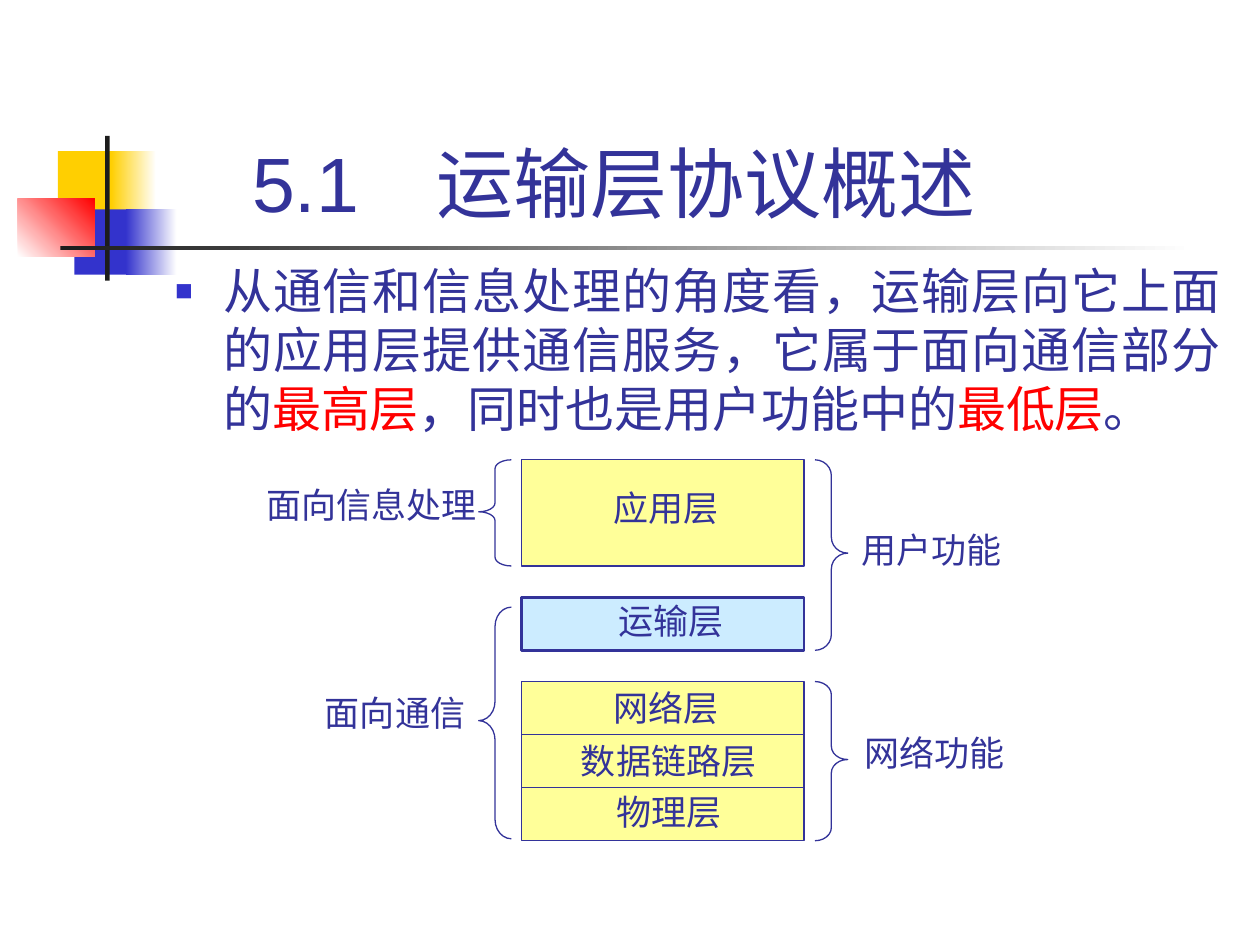
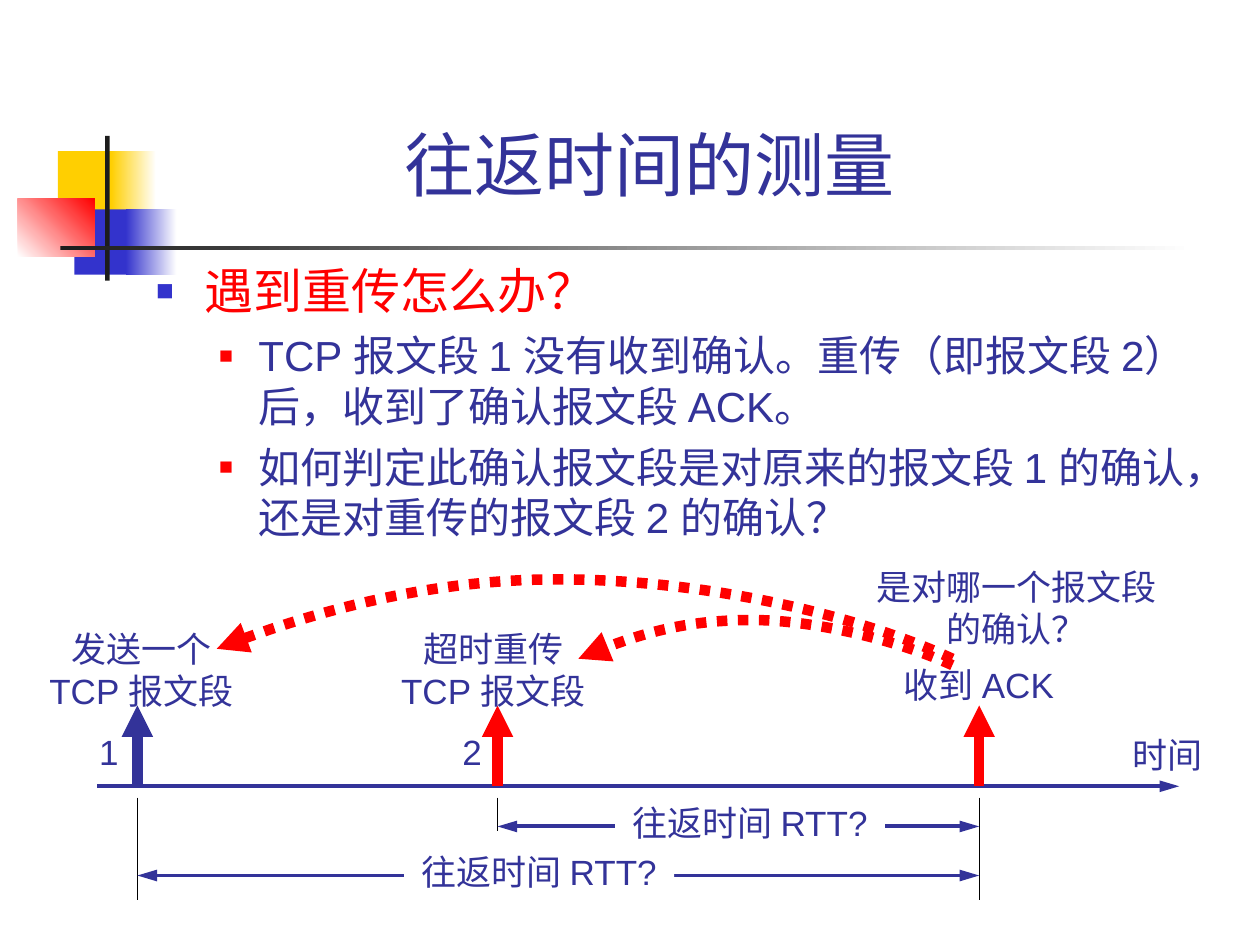
from lxml.etree import SubElement
from pptx import Presentation
from pptx.dml.color import RGBColor
from pptx.enum.dml import MSO_LINE
from pptx.enum.lang import MSO_LANGUAGE_ID
from pptx.enum.shapes import MSO_CONNECTOR, MSO_SHAPE
from pptx.enum.text import MSO_ANCHOR, MSO_AUTO_SIZE, PP_ALIGN
from pptx.oxml.ns import qn
from pptx.util import Cm, Pt

FONT = "Arial"
NAVY, BLUE, RED, YELLOW = "333399", "3333CC", "FF0000", "FFCF01"
WHITE, BLACK, CHARCOAL = "FFFFFF", "000000", "1C1C1C"
PALE_YELLOW, PALE_BLUE = "FFFF99", "CCECFF"

# Per outline level: text size, left margin, hanging indent, bullet colour, bullet percent
LEVELS = [(28, 0.97, 0.97, BLUE, 60), (24, 2.06, 0.79, RED, 55)]


def rgb(code):
    return RGBColor.from_string(code)


def cm(*lengths):
    return [Cm(length) for length in lengths]


def write(paragraph, text, *, size=20, color=NAVY, align=PP_ALIGN.CENTER):
    """Fill a paragraph; parts between | marks become red."""
    paragraph.alignment = align
    for index, part in enumerate(text.split("|")):
        if not part:
            continue
        run = paragraph.add_run()
        run.text = part
        run.font.name = FONT
        run.font.size = Pt(size)
        run.font.language_id = MSO_LANGUAGE_ID.SIMPLIFIED_CHINESE
        run.font.color.rgb = rgb(RED if index % 2 else color)


def add_frame(slide, box, *, wrap=True, anchor=MSO_ANCHOR.TOP):
    holder = slide.shapes.add_textbox(*cm(*box))
    holder.text_frame.word_wrap = wrap
    holder.text_frame.vertical_anchor = anchor
    return holder


def add_title(slide, box, text, size):
    frame = add_frame(slide, box, anchor=MSO_ANCHOR.BOTTOM).text_frame
    write(frame.paragraphs[0], text, size=size)


def add_label(slide, left, top, width, text, fill=None):
    lines = text.split("\n")
    label = add_frame(slide, (left, top, width, 0.28 + 0.84 * len(lines)), wrap=False)
    frame = label.text_frame
    frame.auto_size = MSO_AUTO_SIZE.SHAPE_TO_FIT_TEXT
    for index, line in enumerate(lines):
        write(frame.add_paragraph() if index else frame.paragraphs[0], line)
    if fill:
        label.fill.solid()
        label.fill.fore_color.rgb = rgb(fill)


def add_bullet(paragraph, margin, hanging, color, percent):
    properties = paragraph._p.get_or_add_pPr()
    properties.set("marL", str(Cm(margin)))
    properties.set("indent", str(-Cm(hanging)))
    bullet_color = SubElement(properties, qn("a:buClr"))
    SubElement(bullet_color, qn("a:srgbClr"), val=color)
    SubElement(properties, qn("a:buSzPct"), val=str(percent * 1000))
    SubElement(properties, qn("a:buFont"), typeface=FONT)
    SubElement(properties, qn("a:buChar"), char="■")


def add_outline(slide, box, items, align=PP_ALIGN.LEFT):
    """Add bulleted paragraphs from (level, text) pairs."""
    frame = add_frame(slide, box).text_frame
    for index, (level, text) in enumerate(items):
        paragraph = frame.add_paragraph() if index else frame.paragraphs[0]
        paragraph.level = level
        size, *bullet = LEVELS[level]
        add_bullet(paragraph, *bullet)
        if index:
            paragraph.space_before = Pt(6)
        write(paragraph, text, size=size, align=align)


def add_block(slide, box, fill, line_width=None):
    block = slide.shapes.add_shape(MSO_SHAPE.RECTANGLE, *cm(*box))
    block.shadow.inherit = False
    block.fill.solid()
    block.fill.fore_color.rgb = rgb(fill)
    if line_width:
        block.line.color.rgb = rgb(NAVY)
        block.line.width = Pt(line_width)
    else:
        block.line.fill.background()
    return block


def add_fade(slide, box, start, end, angle=0):
    fill = add_block(slide, box, start).fill
    fill.gradient()
    fill.gradient_angle = angle
    for stop, color in zip(fill.gradient_stops, (start, end)):
        stop.color.rgb = rgb(color)


def add_decoration(slide):
    """Draw the coloured squares and crossing bars beside the title."""
    add_block(slide, (1.17, 3.05, 1.22, 1.32), YELLOW)
    add_fade(slide, (2.24, 3.05, 0.91, 1.32), YELLOW, WHITE)
    add_block(slide, (1.5, 4.22, 1.17, 1.32), BLUE)
    add_fade(slide, (2.54, 4.22, 1.02, 1.32), BLUE, WHITE)
    add_fade(slide, (0.36, 4.01, 1.55, 1.17), WHITE, RED, angle=45)
    add_block(slide, (2.12, 2.74, 0.09, 2.92), CHARCOAL)
    add_fade(slide, (1.22, 4.95, 22.86, 0.09), CHARCOAL, WHITE)


def style_line(drawn, color, width, ends=(), head_length="med"):
    """Set a stroke; ends may name headEnd and tailEnd for arrowheads."""
    drawn.line.color.rgb = rgb(color)
    drawn.line.width = Pt(width)
    stroke = drawn.element.spPr.find(qn("a:ln"))
    for end in ends:
        SubElement(stroke, qn(f"a:{end}"), type="triangle", w="med", len=head_length)


def add_line(slide, start, finish, color=NAVY, width=2.25, ends=(), head_length="lg"):
    line = slide.shapes.add_connector(MSO_CONNECTOR.STRAIGHT, *cm(*start, *finish))
    style_line(line, color, width, ends, head_length)
    SubElement(line.element.spPr, qn("a:effectLst"))


def add_brace(slide, kind, left, top, height):
    width = 0.66
    brace = slide.shapes.add_shape(kind, *cm(left, top, width, height))
    brace.shadow.inherit = False
    brace.fill.background()
    brace.adjustments[0] = height / width / 12
    brace.adjustments[1] = 0.49
    style_line(brace, NAVY, 0.75)


def add_dotted_arrow(slide, start, *points):
    """Draw a curve through cubic segments, three points for each."""
    builder = slide.shapes.build_freeform(*cm(*start))
    builder.add_line_segments([cm(*point) for point in points], close=False)
    arrow = builder.convert_to_shape()
    corners = list(arrow.element.iter(qn("a:lnTo")))
    path = corners[0].getparent()
    for first in range(0, len(corners), 3):
        curve = SubElement(path, qn("a:cubicBezTo"))
        for corner in corners[first:first + 3]:
            curve.append(corner[0])
            path.remove(corner)
    arrow.shadow.inherit = False
    arrow.fill.background()
    arrow.line.dash_style = MSO_LINE.ROUND_DOT
    style_line(arrow, RED, 6, ["tailEnd"])


def build_overview(slide):
    add_decoration(slide)
    add_title(slide, (2.85, 2.59, 19.05, 2.13), "5.1　运输层协议概述", 44)
    add_outline(slide, (3.28, 5.13, 21.59, 4.19), [
        (0, "从通信和信息处理的角度看，运输层向它上面的应用层提供通信服务，"
            "它属于面向通信部分的|最高层|，同时也是用户功能中的|最低层|。"),
    ], align=PP_ALIGN.JUSTIFY)

    stack_left, stack_width, row = 10.52, 5.69, 1.07
    application_top, transport_top, network_top = 9.27, 12.04, 13.74
    add_block(slide, (stack_left, application_top, stack_width, 2 * row), PALE_YELLOW, 0.75)
    add_block(slide, (stack_left, network_top, stack_width, 3 * row), PALE_YELLOW, 0.75)
    for step in (1, 2):
        divider = network_top + step * row
        add_line(slide, (stack_left, divider), (stack_left + stack_width, divider), width=0.75)
    add_block(slide, (stack_left, transport_top, stack_width, row), PALE_BLUE, 1.5)

    for left, top, width, text in [
        (12.12, 9.68, 2.62, "应用层"),
        (12.22, 11.96, 2.62, "运输层"),
        (12.12, 13.72, 2.62, "网络层"),
        (11.46, 14.78, 4.04, "数据链路层"),
        (12.17, 15.82, 2.62, "物理层"),
        (5.11, 9.63, 4.75, "面向信息处理"),
        (6.3, 13.82, 3.33, "面向通信"),
        (17.12, 10.52, 3.33, "用户功能"),
        (17.17, 14.63, 3.33, "网络功能"),
    ]:
        add_label(slide, left, top, width, text)

    for kind, left, top, height in [
        (MSO_SHAPE.RIGHT_BRACE, 16.43, application_top, 3.84),
        (MSO_SHAPE.RIGHT_BRACE, 16.43, network_top, 3 * row),
        (MSO_SHAPE.LEFT_BRACE, 9.65, application_top, 2 * row),
        (MSO_SHAPE.LEFT_BRACE, 9.65, 12.24, 4.67),
    ]:
        add_brace(slide, kind, left, top, height)


def build_round_trip(slide):
    add_decoration(slide)
    add_title(slide, (3.05, 1.93, 20.09, 2.34), "往返时间的测量", 40)
    add_outline(slide, (2.9, 5.13, 21.59, 6.32), [
        (0, "|遇到重传怎么办？|"),
        (1, "TCP 报文段 1 没有收到确认。重传（即报文段 2）后，收到了确认报文段 ACK。"),
        (1, "如何判定此确认报文段是对原来的报文段 1 的确认，还是对重传的报文段 2 的确认？"),
    ])

    sent, resent, received = 2.77, 10.03, 19.74
    axis = 15.85
    add_line(slide, (1.96, axis), (23.77, axis), ends=["tailEnd"])
    for moment, color, tick_end in [
        (sent, NAVY, 18.14), (resent, RED, 16.76), (received, RED, 18.14),
    ]:
        add_line(slide, (moment, axis), (moment, 14.22), color, 6, ["tailEnd"], "med")
        add_line(slide, (moment, 16.08), (moment, tick_end), BLACK, 0.75)

    for start, height, label_left in [(resent, 16.66, 12.4), (sent, 17.65, 8.15)]:
        add_line(slide, (start, height), (received, height), ends=["headEnd", "tailEnd"])
        add_label(slide, label_left, height - 0.63, 5.44, "往返时间 RTT?", fill=WHITE)

    for left, top, width, text in [
        (0.66, 12.52, 4.39, "发送一个\nTCP 报文段"),
        (7.75, 12.52, 4.39, "超时重传\nTCP 报文段"),
        (17.88, 13.26, 3.71, "收到 ACK"),
        (22.43, 14.66, 2.2, "时间"),
        (1.75, 14.6, 0.89, "1"),
        (9.07, 14.6, 0.89, "2"),
        (17.2, 11.28, 6.6, "是对哪一个报文段\n的确认？"),
    ]:
        add_label(slide, left, top, width, text)

    add_dotted_arrow(slide, (19.2, 13.41), (18.2, 12.95), (16.5, 12.5), (15.16, 12.5),
                     (13.9, 12.5), (12.6, 12.85), (11.66, 13.28))
    add_dotted_arrow(slide, (19.2, 13.28), (17.3, 12.4), (14.2, 11.68), (11.25, 11.68),
                     (9.1, 11.68), (6.6, 12.2), (4.37, 13.08))


def main():
    deck = Presentation()
    deck.slide_width, deck.slide_height = cm(25.4, 19.05)
    blank = deck.slide_layouts[6]
    for build in (build_overview, build_round_trip):
        build(deck.slides.add_slide(blank))
    deck.save("out.pptx")


if __name__ == "__main__":
    main()
